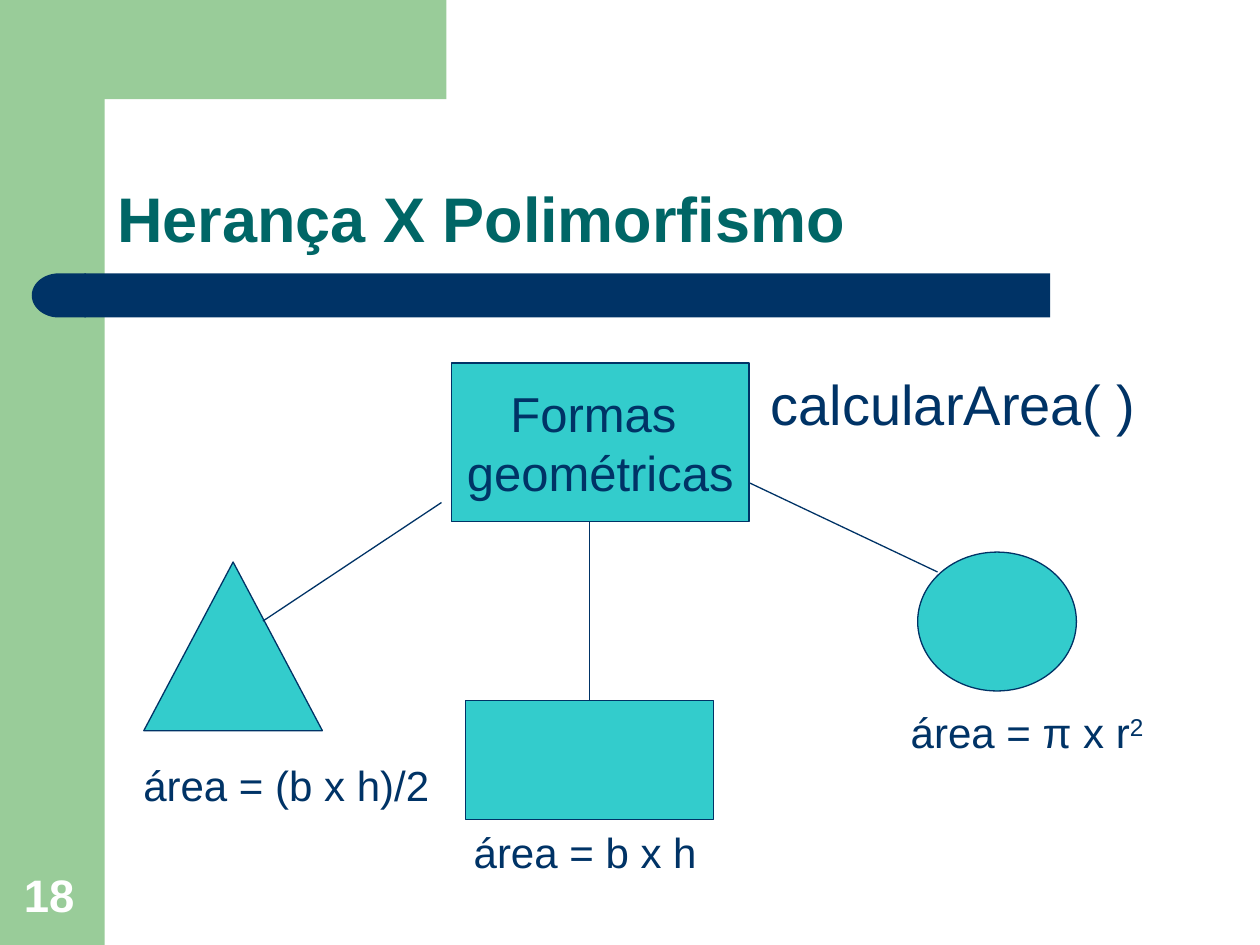
from math import cos, pi, sin

from pptx import Presentation
from pptx.dml.color import RGBColor
from pptx.enum.shapes import MSO_CONNECTOR, MSO_SHAPE
from pptx.enum.text import MSO_ANCHOR, MSO_AUTO_SIZE, PP_ALIGN
from pptx.oxml.ns import qn
from pptx.util import Cm, Pt

GREEN = RGBColor(0x99, 0xCC, 0x99)
NAVY = RGBColor(0x00, 0x33, 0x66)
TEAL = RGBColor(0x00, 0x66, 0x66)
AQUA = RGBColor(0x33, 0xCC, 0xCC)
WHITE = RGBColor(0xFF, 0xFF, 0xFF)


def write(frame, text, size=24, color=NAVY, bold=False, align=PP_ALIGN.LEFT,
          anchor=MSO_ANCHOR.TOP, wrap=False, space=None, sup=""):
    """Fill a text frame, one paragraph a line; sup is raised at the end."""
    frame.auto_size = MSO_AUTO_SIZE.NONE
    frame.word_wrap = wrap
    frame.vertical_anchor = anchor
    frame.text = text
    if sup:
        run = frame.paragraphs[-1].add_run()
        run.text = sup
        run._r.get_or_add_rPr().set("baseline", "30000")
    for para in frame.paragraphs:
        para.alignment = align
        para.line_spacing = space
        for run in para.runs:
            font = run.font
            font.name, font.size, font.bold = "Arial", Pt(size), bold
            font.color.rgb = color


def paint(shape, fill, line=None):
    shape.shadow.inherit = False
    shape.fill.solid()
    shape.fill.fore_color.rgb = fill
    if line is None:
        shape.line.fill.background()
    else:
        shape.line.color.rgb = line
        shape.line.width = Pt(0.75)


def draw(slide, kind, box, fill=AQUA, line=NAVY):
    shape = slide.shapes.add_shape(kind, *map(Cm, box))
    paint(shape, fill, line)
    return shape


def label(slide, box, text, **style):
    write(slide.shapes.add_textbox(*map(Cm, box)).text_frame, text, **style)


def link(slide, *ends):
    line = slide.shapes.add_connector(MSO_CONNECTOR.STRAIGHT, *map(Cm, ends))
    line.line.color.rgb = NAVY
    line.line.width = Pt(0.75)
    props = line._element.spPr
    props.append(props.makeelement(qn("a:effectLst"), {}))
    return line


def corner(slide):
    """Top band whose inner corner is a quarter ellipse."""
    arc = [(2.87 - 0.76 * sin(t), 2.95 - 0.84 * cos(t))
           for t in (pi / 2 * i / 16 for i in range(17))]
    points = [(8.89, 2.11), *arc, (2.11, 3.25), (1.27, 3.25), (1.27, 0)]
    path = slide.shapes.build_freeform(8.89, 0, scale=Cm(1))
    path.add_line_segments(points, close=True)
    paint(path.convert_to_shape(), GREEN)


def frame(slide):
    # Green border, blue bar with a round left end, page number
    draw(slide, MSO_SHAPE.RECTANGLE, (0, 0, 2.11, 19.05), GREEN, None)
    corner(slide)
    draw(slide, MSO_SHAPE.RECTANGLE, (1.7, 5.51, 19.47, 0.89), NAVY, None)
    cap = draw(slide, MSO_SHAPE.FLOWCHART_DELAY, (0.64, 5.51, 1.09, 0.89),
               NAVY, None)
    cap.rotation = 180
    label(slide, (0.23, 17.35, 1.63, 1.35), "18", size=26, color=WHITE,
          bold=True, anchor=MSO_ANCHOR.BOTTOM, wrap=True)


def head(slide, text):
    title = slide.shapes.title
    title.left, title.top, title.width, title.height = map(
        Cm, (2.11, 2.11, 22.02, 3.18))
    write(title.text_frame, text, size=36, color=TEAL, bold=True,
          anchor=MSO_ANCHOR.BOTTOM, wrap=True, space=0.9)


def tree(slide):
    # Parent class and its three shapes
    base = draw(slide, MSO_SHAPE.RECTANGLE, (9.1, 7.32, 6, 3.2))
    write(base.text_frame, "Formas \ngeométricas", size=28,
          align=PP_ALIGN.CENTER, anchor=MSO_ANCHOR.MIDDLE)
    draw(slide, MSO_SHAPE.ISOSCELES_TRIANGLE, (2.9, 11.33, 3.6, 3.4))
    rect = draw(slide, MSO_SHAPE.RECTANGLE, (9.38, 14.12, 5, 2.4))
    draw(slide, MSO_SHAPE.OVAL, (18.5, 11.13, 3.2, 2.8))

    # Links from the parent
    link(slide, 8.9, 10.13, 5.3, 12.52)
    link(slide, 11.88, 10.52, 11.88, 14.12).end_connect(rect, 0)
    link(slide, 15.1, 9.73, 18.9, 11.53)

    # Method and area formulas
    label(slide, (15.29, 7.32, 7.92, 1.63), "calcularArea( )", size=32)
    label(slide, (2.64, 15.19, 6.27, 1.27), "área = (b x h)/2")
    label(slide, (9.3, 16.54, 5, 1.27), "área = b x h")
    label(slide, (18.11, 14.12, 5.23, 1.27), "área = π x r", sup="2")


def main():
    deck = Presentation()
    deck.slide_width, deck.slide_height = Cm(25.4), Cm(19.05)
    slide = deck.slides.add_slide(deck.slide_layouts[5])
    frame(slide)
    head(slide, "Herança X Polimorfismo")
    tree(slide)
    deck.save("out.pptx")


if __name__ == "__main__":
    main()
